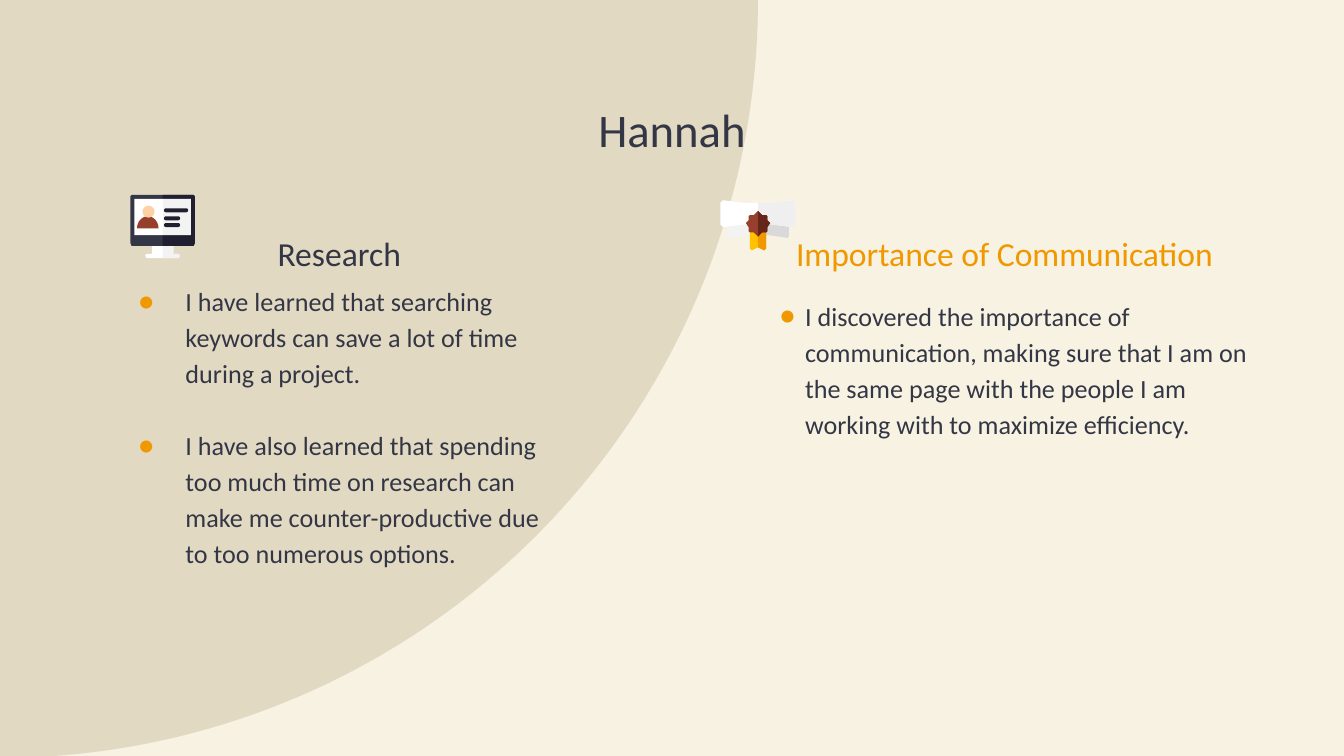
from math import cos, radians, sin

from lxml.etree import SubElement
from pptx import Presentation
from pptx.dml.color import RGBColor
from pptx.enum.shapes import MSO_SHAPE as SHAPE
from pptx.enum.text import MSO_ANCHOR, MSO_AUTO_SIZE, PP_ALIGN
from pptx.oxml.ns import qn
from pptx.util import Inches, Pt

FONT = "Calibri"
COLORS = {
    "cream": "F7F2E2", "sand": "E2D9C3", "ink": "333644", "night": "201F2F",
    "orange": "F09800", "yellow": "FFC200", "white": "FFFFFF", "mist": "F3F3F3",
    "pearl": "EFEFEF", "gray": "D9D9D9", "skin": "FDD1A3", "brick": "953F2C",
    "maroon": "65251A",
}

# placeholder index, box, text, size, colour
HEADINGS = [
    (0, (1.3, 0.65, 7.4, 0.52), "Hannah", 25, "ink"),
    (1, (0.78, 1.59, 3.49, 0.52), "Research", 18, "ink"),
    (3, (5.73, 1.59, 3.49, 0.39), "Importance of Communication", 18, "orange"),
]
# placeholder index, box, (margin, indent), items
LISTS = [
    (2, (0.78, 1.99, 3.49, 2.56), (0.5, -0.35), [
        "I have learned that searching keywords can save a lot of time during a project.",
        "I have also learned that spending too much time on research can make me "
        "counter-productive due to too numerous options.",
    ]),
    (4, (5.55, 2.1, 3.98, 2.86), (0.34, -0.19), [
        "I discovered the importance of communication, making sure that I am on the "
        "same page with the people I am working with to maximize efficiency.",
    ]),
]

# Symmetric icon parts: colour, right-half colour, right-half outline
# as (distance from the axis, y)
MONITOR_AXIS, SCROLL_AXIS = 1.21, 5.64
MONITOR = [
    ("white", "mist", [(0, 1.77), (0.07, 1.77), (0.08, 1.79), (0.08, 1.89), (0.12, 1.89),
                       (0.13, 1.9), (0.12, 1.92), (0, 1.92)]),
    ("ink", "night", [(0, 1.45), (0.23, 1.45), (0.24, 1.46), (0.24, 1.81), (0.23, 1.83),
                      (0, 1.83)]),
    ("white", "mist", [(0, 1.48), (0.21, 1.48), (0.21, 1.75), (0, 1.75)]),
]
SCROLL = [
    ("mist", "gray", [(0, 1.62), (0.22, 1.62), (0.23, 1.63), (0.23, 1.76), (0.22, 1.77),
                      (0.08, 1.75), (0, 1.75)]),
    ("yellow", "orange", [(0, 1.67), (0.04, 1.67), (0.06, 1.69), (0.06, 1.85), (0.05, 1.86),
                          (0.04, 1.86), (0, 1.84)]),
    ("white", "pearl", [(0, 1.51), (0.1, 1.51), (0.26, 1.49), (0.28, 1.51), (0.28, 1.67),
                        (0.26, 1.69), (0.1, 1.67), (0, 1.67)]),
    ("brick", "maroon", [(0, 1.57), (0.01, 1.58), (0.03, 1.6), (0.06, 1.6), (0.07, 1.61),
                         (0.07, 1.64), (0.09, 1.66), (0.07, 1.69), (0.07, 1.72), (0.06, 1.73),
                         (0.03, 1.73), (0.01, 1.75), (0, 1.76)]),
]
TEXT_BARS = [(1.55, 0.18), (1.61, 0.12), (1.66, 0.12)]  # top, width


def rgb(name):
    """Return the named colour."""
    return RGBColor.from_string(COLORS[name])


def paint(sp, color):
    """Give a shape a flat fill without line or shadow."""
    sp.shadow.inherit = False
    sp.fill.solid()
    sp.fill.fore_color.rgb = rgb(color)
    sp.line.fill.background()
    return sp


def add_outline(shapes, points, color):
    """Draw a closed outline through points in inches."""
    pts = [(Inches(x), Inches(y)) for x, y in points]
    fb = shapes.build_freeform(*pts[0])
    fb.add_line_segments(pts[1:], close=True)
    return paint(fb.convert_to_shape(), color)


def add_preset(shapes, kind, box, color):
    """Draw a preset shape."""
    return paint(shapes.add_shape(kind, *map(Inches, box)), color)


def arc(cx, cy, rx, ry, start, end, steps=90):
    """Return points along an elliptical arc."""
    angles = [radians(start + (end - start) * i / steps) for i in range(steps + 1)]
    return [(cx + rx * cos(a), cy + ry * sin(a)) for a in angles]


def add_icon(shapes, axis, parts):
    """Draw two-tone parts mirrored about a vertical axis, as a group."""
    group = shapes.add_group_shape().shapes
    for color, shade, half in parts:
        right = [(axis + dx, y) for dx, y in half]
        left = [(axis - dx, y) for dx, y in reversed(half)]
        add_outline(group, right + left, color)
        add_outline(group, right, shade)
    return group


def place(sp, box):
    """Position a placeholder and return its text frame."""
    sp.left, sp.top, sp.width, sp.height = map(Inches, box)
    tf = sp.text_frame
    tf.auto_size, tf.word_wrap = MSO_AUTO_SIZE.NONE, True
    tf.vertical_anchor = MSO_ANCHOR.TOP
    tf.margin_left = tf.margin_right = tf.margin_top = tf.margin_bottom = Inches(0.1)
    return tf


def write(p, text, size, color, align):
    """Add one formatted run to a paragraph."""
    p.alignment = align
    p.space_before = p.space_after = Pt(0)
    r = p.add_run()
    r.text = text
    r.font.name, r.font.size, r.font.bold = FONT, Pt(size), False
    r.font.color.rgb = rgb(color)


def add_bullet(p, margin, indent):
    """Give a paragraph a hanging orange bullet."""
    pPr = p._p.get_or_add_pPr()
    pPr.set("marL", str(Inches(margin)))
    pPr.set("indent", str(Inches(indent)))
    SubElement(SubElement(pPr, qn("a:buClr")), qn("a:srgbClr")).set("val", COLORS["orange"])
    SubElement(pPr, qn("a:buFont")).set("typeface", FONT)
    SubElement(pPr, qn("a:buChar")).set("char", "●")


prs = Presentation()
prs.slide_width = Inches(10)
prs.slide_height = prs.slide_width * 9 // 16
slide = prs.slides.add_slide(prs.slide_layouts.get_by_name("Comparison"))
slide.background.fill.solid()
slide.background.fill.fore_color.rgb = rgb("cream")
shapes = slide.shapes
holders = {sp.placeholder_format.idx: sp for sp in slide.placeholders}

quarter = add_outline(shapes, [(0, 0)] + arc(0, 0, 5.64, 5.64, 0, 90), "sand")
shapes.element.insert(2, quarter.element)  # behind the text

for idx, box, text, size, color in HEADINGS:
    p = place(holders[idx], box).paragraphs[0]
    write(p, text, size, color, PP_ALIGN.CENTER)
    p.line_spacing = 1.15 if idx else 1.0

for idx, box, indents, items in LISTS:
    tf = place(holders[idx], box)
    for i, text in enumerate(items):
        p = tf.add_paragraph() if i else tf.paragraphs[0]
        write(p, text, 14, "ink", PP_ALIGN.LEFT)
        p.line_spacing = 1.15
        p.space_before = Pt(19.3 if i else 0)
        add_bullet(p, *indents)

monitor = add_icon(shapes, MONITOR_AXIS, MONITOR)
for top, width in TEXT_BARS:
    bar = add_preset(monitor, SHAPE.ROUNDED_RECTANGLE, (1.22, top, width, 0.03), "night")
    bar.adjustments[0] = 0.5
add_outline(monitor, arc(1.1, 1.7, 0.08, 0.09, 180, 360), "brick")
add_preset(monitor, SHAPE.OVAL, (1.06, 1.53, 0.09, 0.09), "skin")
add_icon(shapes, SCROLL_AXIS, SCROLL)

prs.save("out.pptx")
